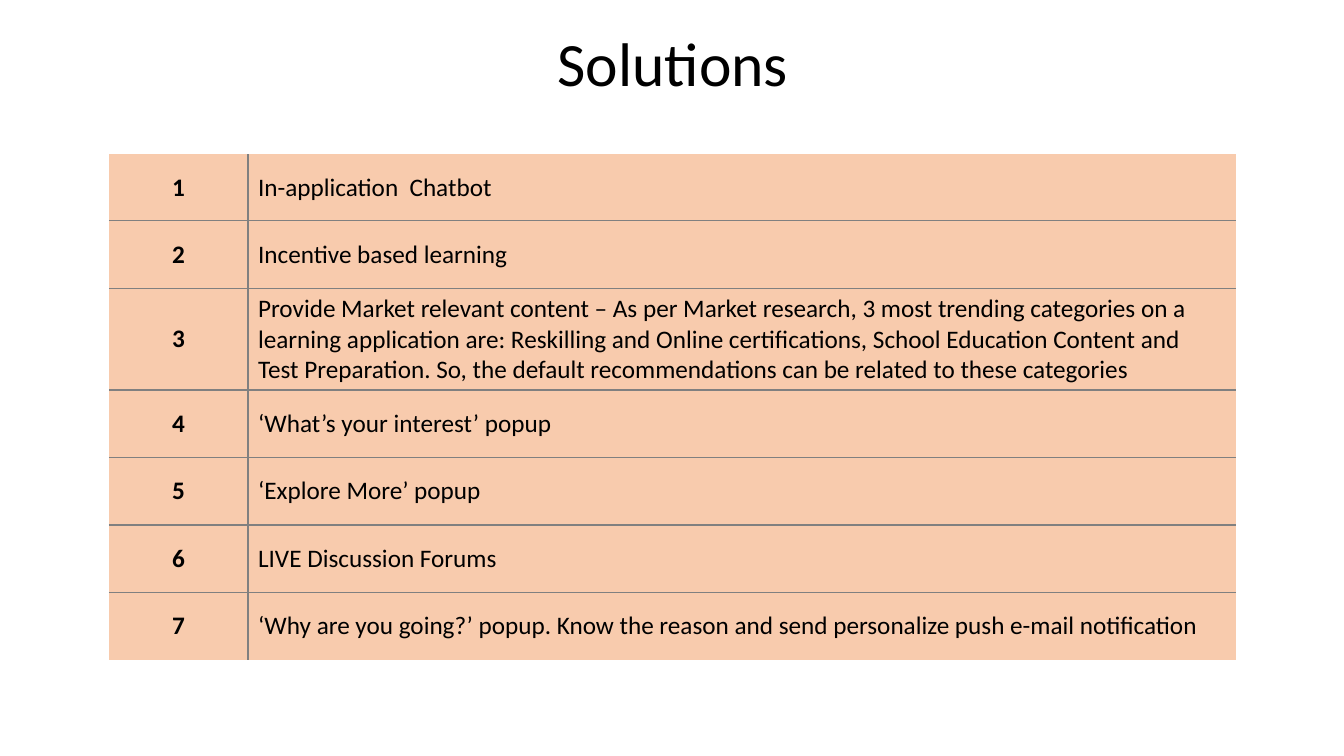
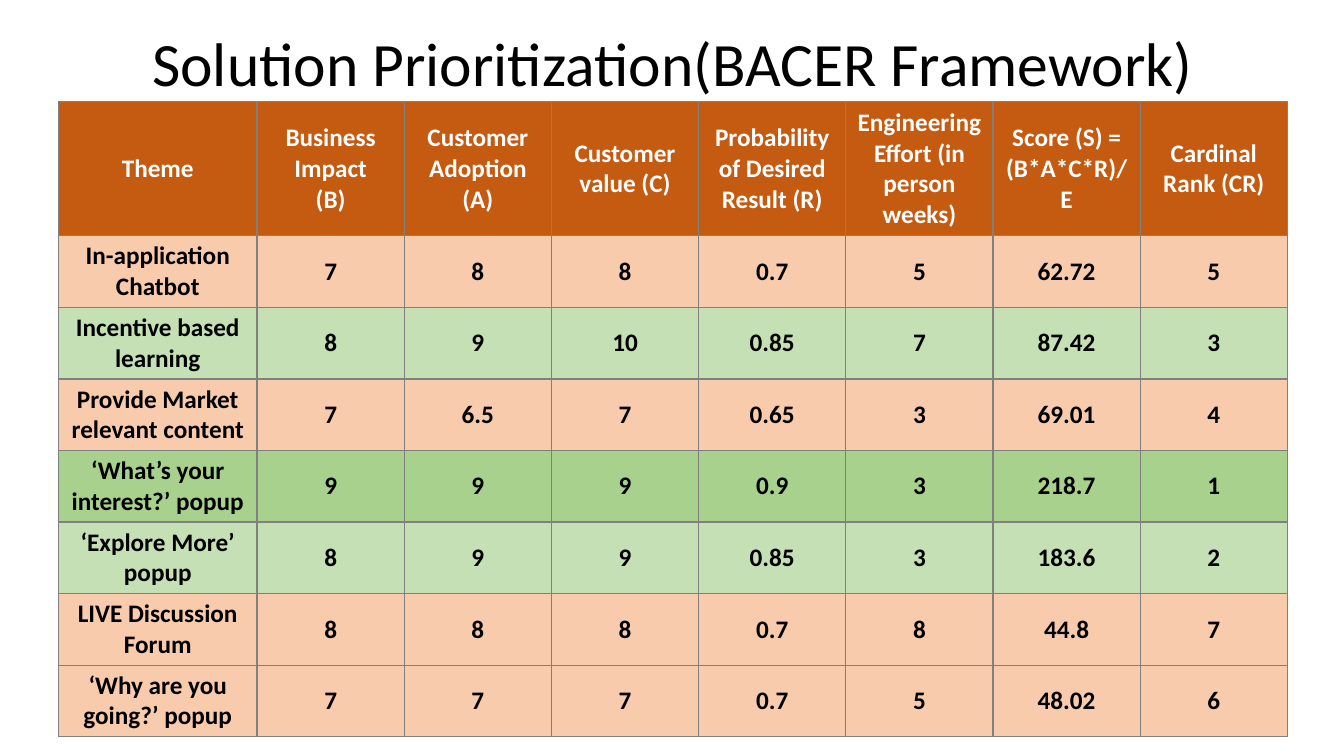
from lxml import etree
from pptx import Presentation
from pptx import util as u
from pptx.dml.color import RGBColor
from pptx.enum import text
from pptx.oxml.ns import qn

COLORS = {
    "text": "000000",
    "header_text": "FFFFFF",
    "header": "C55A11",
    "plain": "F8CBAD",
    "good": "C5E0B4",
    "best": "A9D18E",
    "border": "808080",
}
WIDTH, HEIGHT = u.Inches(13.33), u.Inches(7.5)
TITLE_BOX = (0.4, 0.26, 12.55, 0.81)
TITLE_FORMAT = {"name": "Calibri", "size": u.Pt(44), "bold": False}
CELL_FORMAT = {"name": "Calibri", "size": u.Pt(18), "bold": True}
CENTER, LEFT = text.PP_ALIGN.CENTER, text.PP_ALIGN.LEFT

SOLUTIONS = [
    "In-application  Chatbot",
    "Incentive based learning",
    "Provide Market relevant content – As per Market research, 3 most trending "
    "categories on a learning application are: Reskilling and Online certifications, "
    "School Education Content and Test Preparation. So, the default recommendations "
    "can be related to these categories",
    "‘What’s your interest’ popup",
    "‘Explore More’ popup",
    "LIVE Discussion Forums",
    "‘Why are you going?’ popup. Know the reason and send personalize push e-mail notification",
]
CRITERIA = [
    "Theme", "Business Impact\n(B)", "Customer Adoption (A)", "Customer value (C)",
    "Probability of Desired Result (R)", "Engineering Effort (in person weeks)",
    "Score (S) = (B*A*C*R)/E", "Cardinal Rank (CR)",
]
SCORES = [
    ("In-application Chatbot", 7, 8, 8, 0.7, 5, 62.72, 5),
    ("Incentive based learning", 8, 9, 10, 0.85, 7, 87.42, 3),
    ("Provide Market relevant content", 7, 6.5, 7, 0.65, 3, 69.01, 4),
    ("‘What’s your interest?’ popup", 9, 9, 9, 0.9, 3, 218.7, 1),
    ("‘Explore More’ popup", 8, 9, 9, 0.85, 3, 183.6, 2),
    ("LIVE Discussion Forum", 8, 8, 8, 0.7, 8, 44.8, 7),
    ("‘Why are you going?’ popup", 7, 7, 7, 0.7, 5, 48.02, 6),
]
RANK_FILLS = {1: "best", 2: "good", 3: "good"}


def color(name):
    return RGBColor.from_string(COLORS[name])


def write(para, words, formats, ink="text", align=CENTER):
    para.text = words
    para.alignment = align
    for span in para.runs:
        for key, value in formats.items():
            setattr(span.font, key, value)
        span.font.color.rgb = color(ink)


def add_border(cell, side, visible):
    line = etree.SubElement(cell._tc.get_or_add_tcPr(), qn(f"a:ln{side}"), w=str(u.Pt(1)))
    if visible:
        fill = etree.SubElement(line, qn("a:solidFill"))
        etree.SubElement(fill, qn("a:srgbClr"), val=COLORS["border"])
    else:
        etree.SubElement(line, qn("a:noFill"))


def add_title(page, words, box):
    frame = page.shapes.add_textbox(*map(u.Inches, box)).text_frame
    frame.word_wrap = True
    frame.vertical_anchor = text.MSO_ANCHOR.MIDDLE
    write(frame.paragraphs[0], words, TITLE_FORMAT)
    frame.paragraphs[0].line_spacing = 0.9


def add_grid(page, origin, columns, rows, records, fills, outline):
    box = (*origin, sum(columns), sum(rows))
    table = page.shapes.add_table(len(rows), len(columns), *map(u.Inches, box)).table
    table.first_row = table.horz_banding = False
    for column, width in zip(table.columns, columns):
        column.width = u.Inches(width)
    for row, height in zip(table.rows, rows):
        row.height = u.Inches(height)
    for r, (record, fill) in enumerate(zip(records, fills)):
        for c, value in enumerate(record):
            cell = table.cell(r, c)
            inner = {"L": c > 0, "R": c < len(columns) - 1,
                     "T": r > 0, "B": r < len(rows) - 1}
            for side, is_inner in inner.items():
                add_border(cell, side, outline or is_inner)
            cell.fill.solid()
            cell.fill.fore_color.rgb = color(fill)
            cell.vertical_anchor = text.MSO_ANCHOR.MIDDLE
            is_solution = not outline and c == 1
            write(cell.text_frame.paragraphs[0], str(value),
                  CELL_FORMAT | {"bold": not is_solution},
                  "header_text" if fill == "header" else "text",
                  LEFT if is_solution else CENTER)


def add_page(deck, title):
    page = deck.slides.add_slide(deck.slide_layouts[6])
    add_title(page, title, TITLE_BOX)
    return page


def solutions_page(deck):
    page = add_page(deck, "Solutions")
    rows = [0.66, 0.67, 1.01] + [0.67] * 4
    add_grid(page, (1.08, 1.53), [1.38, 9.8], rows, enumerate(SOLUTIONS, 1),
             ["plain"] * len(SOLUTIONS), outline=False)


def priorities_page(deck):
    page = add_page(deck, "Solution Prioritization(BACER Framework)")
    fills = ["header"] + [RANK_FILLS.get(score[-1], "plain") for score in SCORES]
    add_grid(page, (0.58, 1.01), [1.97] + [1.46] * 7, [1.33] + [0.71] * len(SCORES),
             [CRITERIA, *SCORES], fills, outline=True)


def main():
    deck = Presentation()
    deck.slide_width, deck.slide_height = WIDTH, HEIGHT
    solutions_page(deck)
    priorities_page(deck)
    deck.save("out.pptx")


if __name__ == "__main__":
    main()
